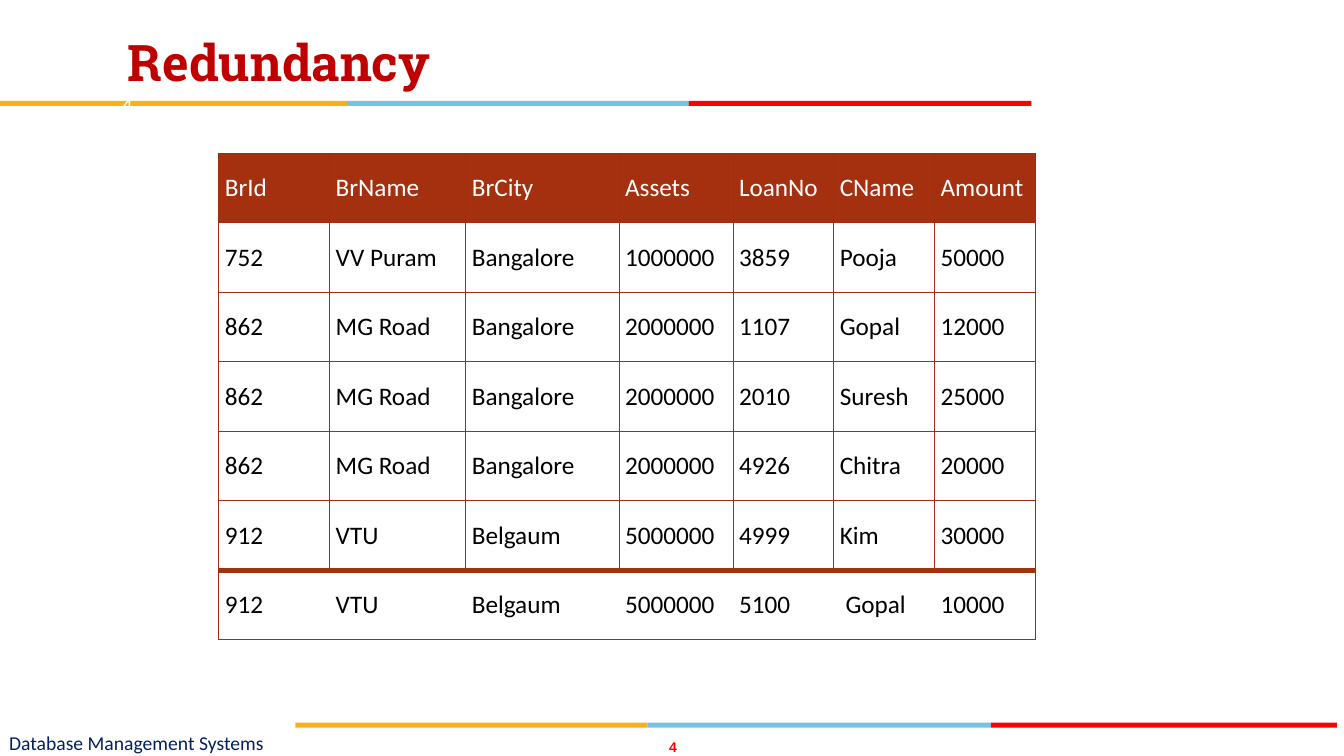
import pptx
import pptx.util
import pptx.dml.color
import pptx.enum.shapes
import pptx.enum.text
import pptx.oxml
import pptx.oxml.ns

RGB = pptx.dml.color.RGBColor
ALIGN = pptx.enum.text.PP_ALIGN
ANCHOR = pptx.enum.text.MSO_ANCHOR

PX = 9144  # one hundred px to the inch
YELLOW = RGB(0xFC, 0xB0, 0x17)
BLUE = RGB(0x76, 0xC2, 0xE5)
RED = RGB(0xFF, 0x00, 0x00)
NAVY = RGB(0x00, 0x20, 0x60)
CRIMSON = RGB(0xC0, 0x00, 0x00)
RUST = RGB(0xA5, 0x30, 0x10)
RULE = RGB(0x9E, 0x2E, 0x0F)
OFF_WHITE = RGB(0xFE, 0xFF, 0xFF)
WHITE = RGB(0xFF, 0xFF, 0xFF)
BLACK = RGB(0x00, 0x00, 0x00)

COLUMNS = [110, 135, 152, 113, 100, 100, 100]
ROW_HEIGHT = 69
LOANS = [
    ["BrId", "BrName", "BrCity", "Assets", "LoanNo", "CName", "Amount"],
    ["752", "VV Puram", "Bangalore", "1000000", "3859", "Pooja", "50000"],
    ["862", "MG Road", "Bangalore", "2000000", "1107", "Gopal", "12000"],
    ["862", "MG Road", "Bangalore", "2000000", "2010", "Suresh", "25000"],
    ["862", "MG Road", "Bangalore", "2000000", "4926", "Chitra", "20000"],
    ["912", "VTU", "Belgaum", "5000000", "4999", "Kim", "30000"],
    ["912", "VTU", "Belgaum", "5000000", "5100", " Gopal", "10000"],
]


def px(n):
    return pptx.util.Emu(n * PX)


def add_run(p, text, size, font, color, bold=False):
    r = p.add_run()
    r.text = text
    r.font.size = pptx.util.Pt(size)
    r.font.name = font
    r.font.bold = bold
    r.font.color.rgb = color


def add_text(s, box, text, size, font, color, bold=False,
             align=ALIGN.LEFT, anchor=ANCHOR.MIDDLE, inset=(0, 0)):
    tf = s.shapes.add_textbox(*map(px, box)).text_frame
    tf.word_wrap = True
    tf.vertical_anchor = anchor
    tf.margin_left = tf.margin_right = px(inset[0])
    tf.margin_top = tf.margin_bottom = px(inset[1])
    p = tf.paragraphs[0]
    p.alignment = align
    add_run(p, text, size, font, color, bold)


def add_stripe(s, left, top, widths):
    for width, color in zip(widths, (YELLOW, BLUE, RED)):
        sp = s.shapes.add_shape(pptx.enum.shapes.MSO_SHAPE.RECTANGLE,
                                px(left), px(top), px(width), px(5))
        sp.shadow.inherit = False
        sp.fill.solid()
        sp.fill.fore_color.rgb = color
        sp.line.fill.background()
        left += width


def set_border(cell, side, color, points):
    width = pptx.util.Pt(points) if color else 0
    paint = (f'<a:solidFill><a:srgbClr val="{color}"/></a:solidFill>'
             if color else "<a:noFill/>")
    cell._tc.get_or_add_tcPr().append(pptx.oxml.parse_xml(
        f'<a:ln{side} {pptx.oxml.ns.nsdecls("a")} w="{width}">{paint}</a:ln{side}>'))


def style_cell(cell, row, col):
    last_row, last_col = len(LOANS) - 1, len(COLUMNS) - 1
    cell.vertical_anchor = ANCHOR.MIDDLE
    cell.margin_left = cell.margin_right = px(6)
    cell.margin_top = cell.margin_bottom = 0
    # The last row has no inner vertical rules and a heavy rule above it
    inner = None if row == last_row else RULE
    set_border(cell, "L", RULE if col == 0 else inner, 0.75)
    set_border(cell, "R", RULE if col == last_col else inner, 0.75)
    for side, edge in (("T", row), ("B", row + 1)):
        heavy = edge == last_row
        set_border(cell, side, RUST if heavy else RULE, 4 if heavy else 0.75)
    if row == 0:
        cell.fill.solid()
        cell.fill.fore_color.rgb = RUST
    else:
        cell.fill.background()


def add_loan_table(s, left, top):
    table = s.shapes.add_table(
        len(LOANS), len(COLUMNS), px(left), px(top),
        px(sum(COLUMNS)), px(ROW_HEIGHT * len(LOANS))).table
    table.horz_banding = False
    for column, width in zip(table.columns, COLUMNS):
        column.width = px(width)
    for i, values in enumerate(LOANS):
        table.rows[i].height = px(ROW_HEIGHT)
        for j, value in enumerate(values):
            cell = table.cell(i, j)
            style_cell(cell, i, j)
            add_run(cell.text_frame.paragraphs[0], value, 18, "Calibri",
                    WHITE if i == 0 else BLACK)


def main():
    prs = pptx.Presentation()
    prs.slide_width, prs.slide_height = px(1333), px(750)
    s = prs.slides.add_slide(prs.slide_layouts[6])

    # Stripes under the title and above the footer
    add_stripe(s, 0, 100, (344, 339, 340))
    add_stripe(s, 293, 717, (349, 341, 343))

    # Footer
    add_text(s, (651, 733, 33, 17), "4", 10, "Arial", RED, bold=True,
             align=ALIGN.CENTER)
    add_text(s, (9, 723, 496, 27), "Database Management Systems", 14,
             "Calibri", NAVY)

    # Title and loan table
    add_text(s, (117, 26, 958, 84), "Redundancy", 36, "Roboto Slab", CRIMSON,
             bold=True, anchor=ANCHOR.TOP, inset=(10, 5))
    add_loan_table(s, 217, 152)

    # Slide number on the title stripe
    add_text(s, (58, 86, 85, 40), "4", 20, "Quicksand", OFF_WHITE,
             align=ALIGN.RIGHT, inset=(10, 5))

    prs.save("out.pptx")


if __name__ == "__main__":
    main()
